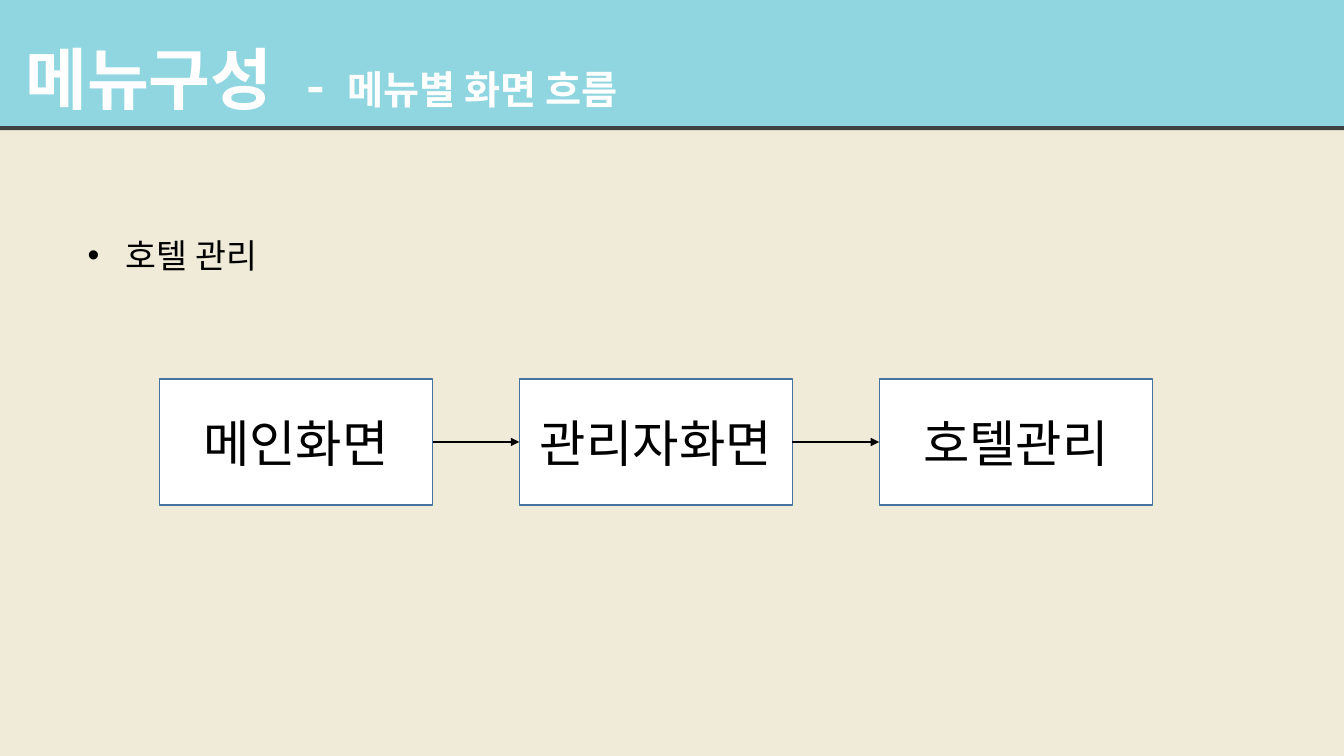
from pptx import Presentation
from pptx.dml.color import RGBColor
from pptx.enum.shapes import MSO_CONNECTOR as Conn, MSO_SHAPE as Shape
from pptx.enum.text import MSO_ANCHOR as Anchor, MSO_AUTO_SIZE as Fit, PP_ALIGN as Align
from pptx.oxml import parse_xml
from pptx.oxml.ns import nsdecls
from pptx.util import Inches, Pt

# Content: header runs are (text, size, letter spacing in points)
HEAD = [(" 메뉴구성", 48, 0), (" ", 48, 13), ("- ", 36, 4), ("메뉴별 화면 흐름", 28, 0)]
TOPIC = "호텔 관리"
STEPS = ["메인화면", "관리자화면", "호텔관리"]

FONT = "Noto Sans CJK KR"
HEX = {"back": "F0EBD8", "band": "90D6E0", "shade": "404040",
       "box": "FFFFFF", "edge": "43739E", "ink": "000000", "white": "FFFFFF"}

# Flow layout in inches
LEFT, TOP, WIDE, HIGH, GAP = 1.58, 3.76, 2.71, 1.25, 0.86


def color(name):
    return RGBColor.from_string(HEX[name])


def xml(text):
    return parse_xml(text.replace("/>", " " + nsdecls("a") + "/>", 1)
                     if text.endswith("/>") and text.count("<") == 1
                     else text.replace(">", " " + nsdecls("a") + ">", 1))


def write(para, text, size=24, ink="ink", bold=False, gap=0, align=Align.LEFT):
    para.alignment = align
    run = para.add_run()
    run.text = text
    font = run.font
    font.size, font.bold, font.name = Pt(size), bold, FONT
    font.color.rgb = color(ink)
    props = run._r.get_or_add_rPr()
    props.append(xml(f'<a:ea typeface="{FONT}"/>'))
    if gap:
        props.set("spc", str(gap * 100))


deck = Presentation()
deck.slide_width, deck.slide_height = Inches(13.33), Inches(7.5)
slide = deck.slides.add_slide(deck.slide_layouts[5])
slide.background.fill.solid()
slide.background.fill.fore_color.rgb = color("back")

# Header band with a hard shadow below
title = slide.shapes.title
title.left, title.top = Inches(0), Inches(0)
title.width, title.height = deck.slide_width, Inches(1.25)
title.fill.solid()
title.fill.fore_color.rgb = color("band")
title._element.spPr.append(xml(
    '<a:effectLst><a:outerShdw blurRad="0" dist="38100" dir="5400000" algn="t" '
    f'rotWithShape="0"><a:srgbClr val="{HEX["shade"]}"/></a:outerShdw></a:effectLst>'))
frame = title.text_frame
frame.auto_size, frame.word_wrap = Fit.NONE, True
frame.vertical_anchor = Anchor.MIDDLE
frame.margin_bottom = Inches(0.15)
frame.paragraphs[0].line_spacing = 1.5
for text, size, gap in HEAD:
    write(frame.paragraphs[0], text, size=size, ink="white", bold=True, gap=gap)

# Topic bullet
topic = slide.shapes.add_textbox(Inches(0.77), Inches(2.28), Inches(3.68), Inches(0.5))
topic.text_frame.word_wrap = True
topic.text_frame.auto_size = Fit.SHAPE_TO_FIT_TEXT
para = topic.text_frame.paragraphs[0]
write(para, TOPIC)
props = para._p.get_or_add_pPr()
props.set("marL", str(Inches(0.38)))
props.set("indent", str(-Inches(0.38)))
props.append(xml('<a:buFont typeface="Arial"/>'))
props.append(xml('<a:buChar char="•"/>'))

# Flow boxes, each joined to the one before
last = None
for i, step in enumerate(STEPS):
    box = slide.shapes.add_shape(Shape.RECTANGLE, Inches(LEFT + i * (WIDE + GAP)),
                                 Inches(TOP), Inches(WIDE), Inches(HIGH))
    box.shadow.inherit = False
    box.fill.solid()
    box.fill.fore_color.rgb = color("box")
    box.line.color.rgb = color("edge")
    box.line.width = Pt(1)
    box.text_frame.word_wrap = True
    box.text_frame.vertical_anchor = Anchor.MIDDLE
    write(box.text_frame.paragraphs[0], step, size=36, align=Align.CENTER)
    if last is not None:
        link = slide.shapes.add_connector(Conn.STRAIGHT, 0, 0, 0, 0)
        link.begin_connect(last, 3)
        link.end_connect(box, 1)
        link.line.color.rgb = color("ink")
        link.line.width = Pt(2)
        link.line._get_or_add_ln().append(xml('<a:tailEnd type="triangle"/>'))
        link._element.spPr.append(xml('<a:effectLst/>'))
    last = box

deck.save("out.pptx")
